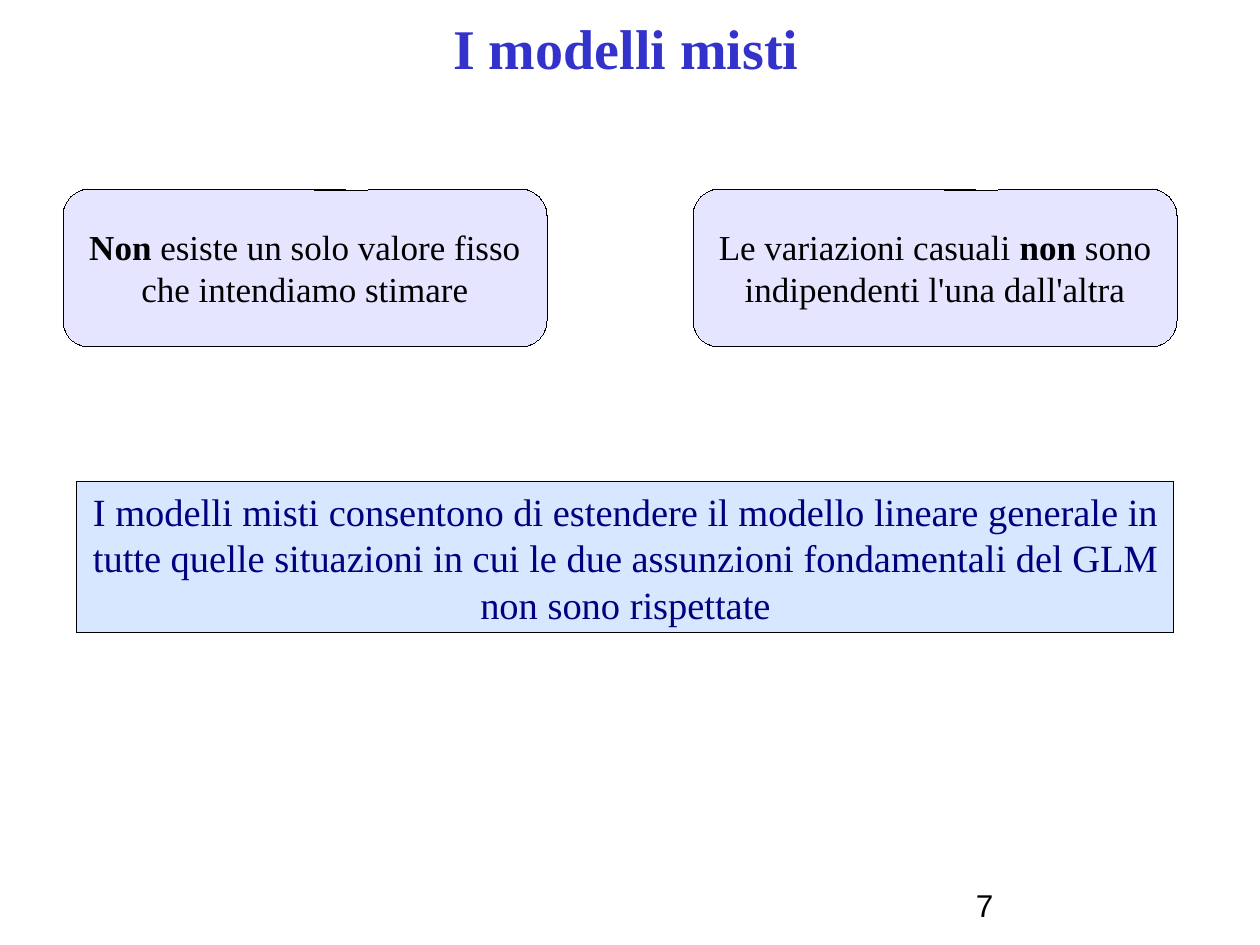
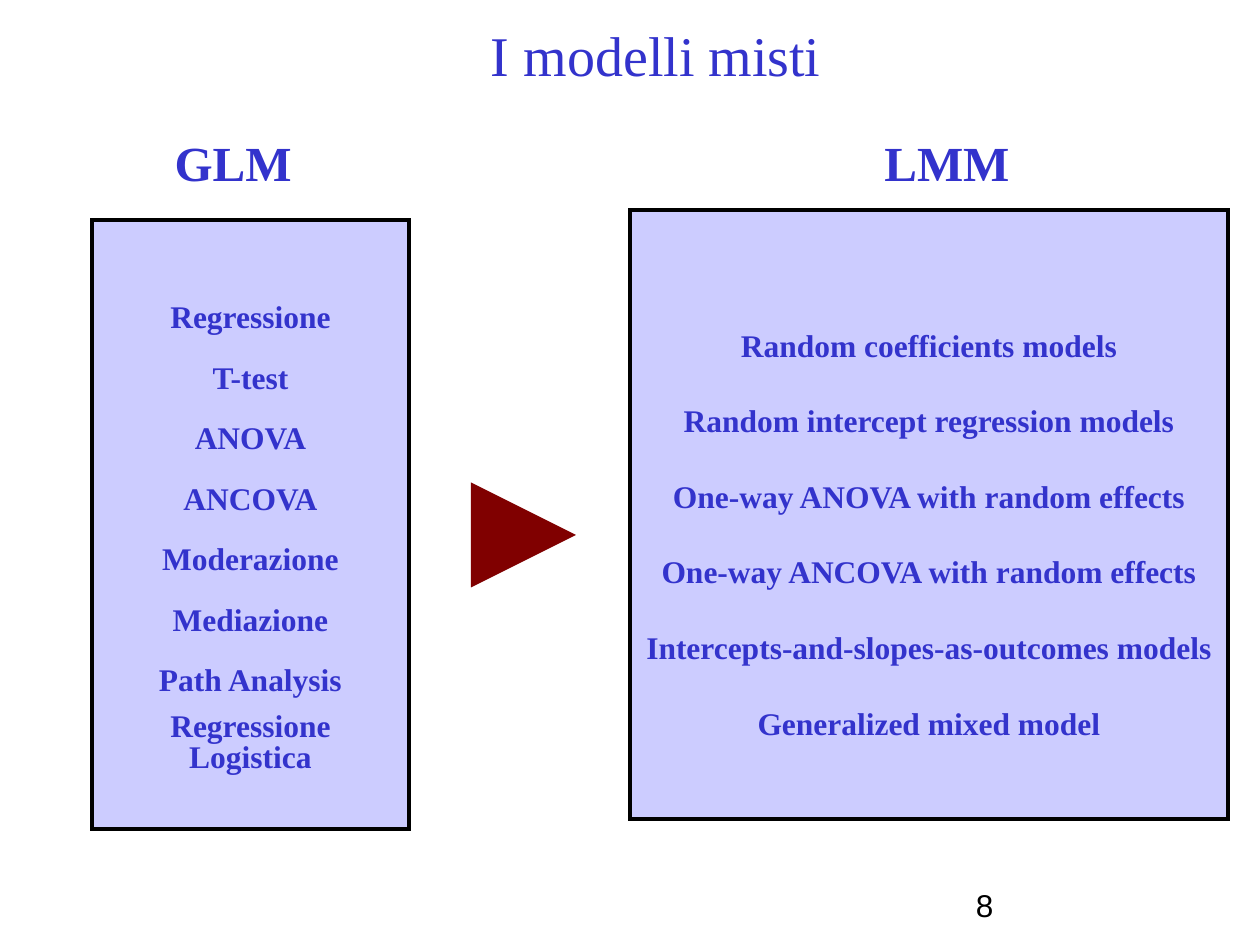
from lxml import etree
from pptx import Presentation
from pptx import util as u
from pptx.dml.color import RGBColor
from pptx.enum import shapes, text
from pptx.oxml.ns import qn

PX = 914400 / 126
HAIRLINE = u.Emu(1)
SERIF, SANS = "Times New Roman", "Arial"
BLACK, BLUE, NAVY, MAROON = "000000", "3333CC", "000080", "800000"
LILAC, SKY = "CCCCFF", "D6E7FF"
CENTER, LEFT = text.PP_ALIGN.CENTER, text.PP_ALIGN.LEFT
MIDDLE, TOP = text.MSO_ANCHOR.MIDDLE, text.MSO_ANCHOR.TOP


def px(n):
    return u.Emu(round(n * PX))


def rgb(color):
    return RGBColor.from_string(color)


def write(sp, paragraphs, size=18, color=BLACK, bold=False, font=SERIF,
          align=CENTER, anchor=MIDDLE, wrap=True, margins=(13, 6), spacing=None):
    """Fill sp with paragraphs: each a string, or a list of (text, bold) runs."""
    tf = sp.text_frame
    tf.word_wrap = wrap
    tf.vertical_anchor = anchor
    tf.margin_left = tf.margin_right = px(margins[0])
    tf.margin_top = tf.margin_bottom = px(margins[1])
    for i, runs in enumerate(paragraphs):
        p = tf.add_paragraph() if i else tf.paragraphs[0]
        p.alignment = align
        if spacing:
            p.line_spacing = spacing
        for words, heavy in [(runs, bold)] if isinstance(runs, str) else runs:
            r = p.add_run()
            r.text = words
            r.font.name, r.font.size, r.font.bold = font, u.Pt(size), heavy
            r.font.color.rgb = rgb(color)
    return tf


def add_text(slide, box, words, **fmt):
    sp = slide.shapes.add_textbox(*map(px, box))
    write(sp, [words], **fmt)


def add_box(slide, box, fill, line=HAIRLINE, kind=shapes.MSO_SHAPE.RECTANGLE):
    sp = slide.shapes.add_shape(kind, *map(px, box))
    sp.shadow.inherit = False
    sp.fill.solid()
    sp.fill.fore_color.rgb = rgb(fill)
    sp.line.color.rgb = rgb(BLACK)
    sp.line.width = line
    etree.SubElement(sp.line._get_or_add_ln(), qn("a:miter"), lim="800000")
    return sp


def add_callout(slide, left, runs):
    sp = add_box(slide, (left, 189, 484, 158), LILAC,
                 kind=shapes.MSO_SHAPE.ROUNDED_RECTANGULAR_CALLOUT)
    for i, value in enumerate((0.02, -0.49, 0.17)):
        sp.adjustments[i] = value
    color = sp.fill._xPr.find(".//" + qn("a:srgbClr"))
    etree.SubElement(color, qn("a:alpha"), val="50000")
    write(sp, [runs], size=20)


def add_model_list(slide, box, models, spacing):
    sp = add_box(slide, box, LILAC, line=u.Pt(2.25))
    return write(sp, models, color=BLUE, bold=True, wrap=False, spacing=spacing)


def add_heading(slide, box, words):
    add_text(slide, box, words, size=28, color=BLUE, bold=True, anchor=TOP,
             wrap=False, margins=(0, 6))


def add_arrow(slide, x1, x2, y):
    cxn = slide.shapes.add_connector(shapes.MSO_CONNECTOR.STRAIGHT,
                                     px(x1), px(y), px(x2), px(y))
    cxn.line.color.rgb = rgb(MAROON)
    cxn.line.width = u.Pt(20)
    etree.SubElement(cxn.line._get_or_add_ln(), qn("a:tailEnd"), type="triangle")
    etree.SubElement(cxn._element.spPr, qn("a:effectLst"))


def add_slide(prs, number, title_left, title_top, bold):
    """Add a blank slide with the shared title and page number."""
    slide = prs.slides.add_slide(prs.slide_layouts[6])
    add_text(slide, (title_left, title_top, 892, 79), "I modelli misti",
             size=32, color=BLUE, bold=bold)
    add_text(slide, (976, 886, 262, 59), str(number), font=SANS,
             align=LEFT, anchor=TOP, margins=(0, 0))
    return slide


def build_assumptions(prs):
    slide = add_slide(prs, 7, 180, 8, True)
    add_callout(slide, 63, [("Non", True),
                            (" esiste un solo valore fisso che intendiamo stimare", False)])
    add_callout(slide, 693, [("Le variazioni casuali ", False), ("non", True),
                             (" sono indipendenti l'una dall'altra", False)])
    summary = add_box(slide, (77, 482, 1097, 151), SKY)
    write(summary, ["I modelli misti consentono di estendere il modello lineare generale "
                    "in tutte quelle situazioni in cui le due assunzioni fondamentali "
                    "del GLM non sono rispettate"], size=22, color=NAVY)


def build_comparison(prs):
    slide = add_slide(prs, 8, 210, 15, False)
    add_heading(slide, (162, 126, 142, 72), "GLM")
    glm = add_model_list(slide, (92, 220, 317, 609), [
        "Regressione", "T-test", "ANOVA", "ANCOVA", "Moderazione", "Mediazione",
        "Path Analysis", "Regressione", "Logistica"], 1.6)
    glm.paragraphs[-3].space_after = u.Pt(9)
    for p in glm.paragraphs[-2:]:
        p.line_spacing = 0.8
    add_heading(slide, (872, 126, 150, 72), "LMM")
    add_model_list(slide, (630, 210, 598, 609), [
        "Random coefficients models", "Random intercept regression models",
        "One-way ANOVA with random effects", "One-way ANCOVA with random effects",
        "Intercepts-and-slopes-as-outcomes models", "Generalized mixed model"], 2.0)
    add_arrow(slide, 493, 576, 535)


def main():
    prs = Presentation()
    prs.slide_width, prs.slide_height = px(1260), px(945)
    build_assumptions(prs)
    build_comparison(prs)
    prs.save("out.pptx")


if __name__ == "__main__":
    main()
